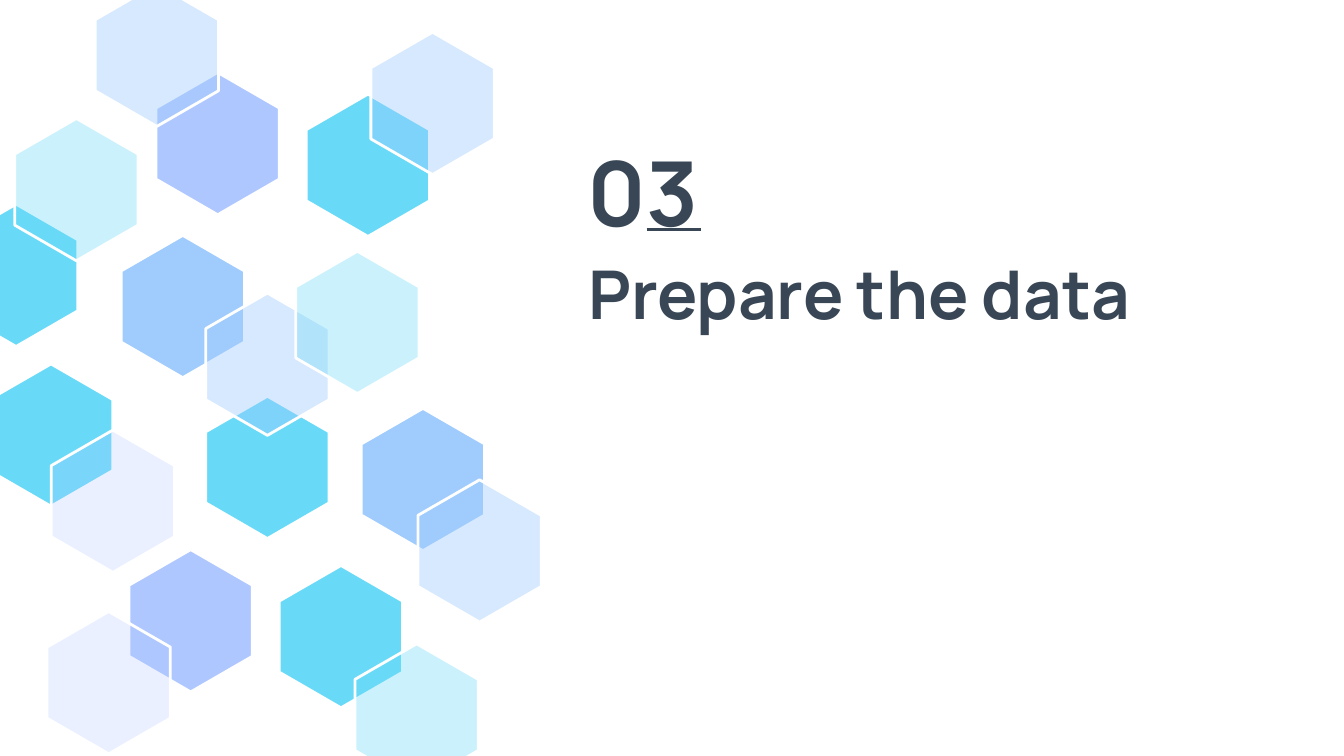
from lxml.etree import SubElement
from pptx import Presentation
from pptx.dml.color import RGBColor
from pptx.enum.shapes import MSO_CONNECTOR
from pptx.enum.text import MSO_ANCHOR, MSO_AUTO_SIZE, PP_ALIGN
from pptx.oxml.ns import qn
from pptx.util import Cm, Pt

FONT = "Manrope"
INK, WHITE = "384655", "FFFFFF"
CYAN, BLUE, VIOLET = "68DAF8", "9FCBFD", "AFC7FF"
PALE_ALPHA = {CYAN: 34, BLUE: 41, VIOLET: 25}
HEX_WIDTH, HEX_HEIGHT = 2.33, 2.69
HEXAGONS = [
    (5.79, 1.78, CYAN, False),
    (3.89, 7.49, CYAN, False),
    (2.95, 1.37, VIOLET, False),
    (1.8, -0.3, BLUE, True),
    (2.29, 4.45, BLUE, False),
    (3.89, 5.54, BLUE, True),
    (5.59, 4.75, CYAN, True),
    (-0.2, 6.88, CYAN, False),
    (2.44, 10.39, VIOLET, False),
    (0.89, 11.56, VIOLET, True),
    (6.83, 7.72, BLUE, False),
    (7.9, 9.07, BLUE, True),
    (5.28, 10.69, CYAN, False),
    (6.71, 12.17, CYAN, True),
    (0.97, 8.13, VIOLET, True),
    (7.01, 0.61, BLUE, True),
    (-0.86, 3.86, CYAN, False),
    (0.28, 2.24, CYAN, True),
]


def color(value):
    """Return the colour of a hex string."""
    return RGBColor.from_string(value)


def write_text(frame, text, size, anchor=MSO_ANCHOR.TOP, autosize=MSO_AUTO_SIZE.NONE):
    """Fill a text frame with one bold, left-aligned paragraph."""
    frame.word_wrap = True
    frame.auto_size = autosize
    frame.vertical_anchor = anchor
    para = frame.paragraphs[0]
    para.alignment = PP_ALIGN.LEFT
    span = para.add_run()
    span.text = text
    span.font.name = FONT
    span.font.size = Pt(size)
    span.font.bold = True
    span.font.color.rgb = color(INK)


def add_title(page, text):
    """Place and fill the title placeholder."""
    title = page.shapes.title
    title.left, title.top, title.width, title.height = Cm(10.87), Cm(3), Cm(11.51), Cm(5.05)
    frame = title.text_frame
    frame.margin_left = frame.margin_right = Cm(0.25)
    frame.margin_top = frame.margin_bottom = Cm(0.25)
    write_text(frame, text, 36, anchor=MSO_ANCHOR.MIDDLE)


def add_hexagon(group, left, top, fill, pale):
    """Draw a white-edged upright hexagon, see-through when pale."""
    middle, right = left + HEX_WIDTH / 2, left + HEX_WIDTH
    upper, lower = top + HEX_HEIGHT / 4, top + HEX_HEIGHT * 3 / 4
    corners = [(left, upper), (left, lower), (middle, top + HEX_HEIGHT), (right, lower), (right, upper)]
    builder = group.shapes.build_freeform(Cm(middle), Cm(top))
    builder.add_line_segments([(Cm(x), Cm(y)) for x, y in corners], close=True)
    hexagon = builder.convert_to_shape()
    hexagon.shadow.inherit = False
    hexagon.fill.solid()
    hexagon.fill.fore_color.rgb = color(fill)
    hexagon.line.color.rgb = color(WHITE)
    hexagon.line.width = Pt(1.5)
    if pale:
        tint = hexagon.element.spPr.find(qn("a:solidFill")).find(qn("a:srgbClr"))
        SubElement(tint, qn("a:alpha"), val=str(PALE_ALPHA[fill] * 1000))


def add_rule(page, left, top, width):
    """Draw a thin horizontal line."""
    rule = page.shapes.add_connector(MSO_CONNECTOR.STRAIGHT, Cm(left), Cm(top), Cm(left + width), Cm(top))
    rule.line.color.rgb = color(INK)
    rule.line.width = Pt(1.5)
    SubElement(rule.element.spPr, qn("a:effectLst"))


def add_number(page, text):
    """Add the section number."""
    box = page.shapes.add_textbox(Cm(10.85), Cm(2.46), Cm(3.76), Cm(2.31))
    write_text(box.text_frame, text, 48, autosize=MSO_AUTO_SIZE.SHAPE_TO_FIT_TEXT)


def main():
    """Build and save the section slide."""
    deck = Presentation()
    deck.slide_width, deck.slide_height = Cm(25.4), Cm(14.29)
    page = deck.slides.add_slide(deck.slide_layouts[5])
    page.background.fill.solid()
    page.background.fill.fore_color.rgb = color(WHITE)
    add_title(page, "Prepare the data")
    group = page.shapes.add_group_shape()
    for hexagon in HEXAGONS:
        add_hexagon(group, *hexagon)
    add_rule(page, 12.22, 4.34, 1.02)
    add_number(page, "03")
    deck.save("out.pptx")


if __name__ == "__main__":
    main()
